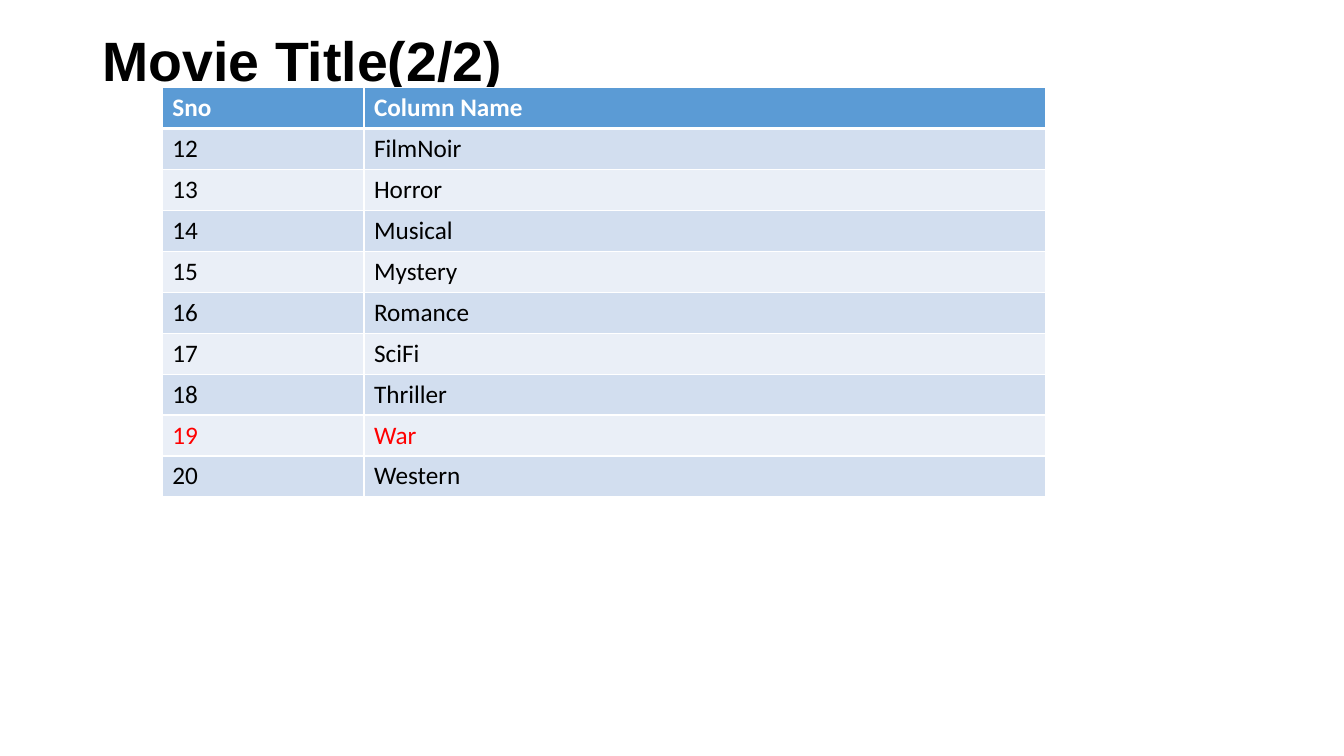
import pptx
import pptx.util
import pptx.dml.color
import pptx.enum.text
import pptx.oxml.ns
from dataclasses import dataclass
from lxml import etree

Inches = pptx.util.Inches
Pt = pptx.util.Pt


@dataclass(frozen=True)
class Theme:
    black: str = "000000"
    white: str = "FFFFFF"
    red: str = "FF0000"
    head: str = "5B9BD5"
    bands: tuple = ("D2DEEF", "EAEFF7")
    title_font: str = "Arial"
    body_font: str = "Calibri"
    title_size: float = 39.6
    body_size: float = 18


THEME = Theme()
GENRES = ["FilmNoir", "Horror", "Musical", "Mystery", "Romance",
          "SciFi", "Thriller", "War", "Western"]
FIRST = 12
MARKED = "War"


def rgb(code):
    return pptx.dml.color.RGBColor.from_string(code)


def add_run(para, text, font, size, color, bold=False):
    run = para.add_run()
    run.text = text
    run.font.name = font
    run.font.size = Pt(size)
    run.font.bold = bold
    run.font.color.rgb = rgb(color)


def add_edges(cell, widths):
    """Draw white cell borders, given a width in points for each side."""
    props = cell._tc.get_or_add_tcPr()
    for index, (side, width) in enumerate(widths.items()):
        line = etree.Element(pptx.oxml.ns.qn("a:ln" + side), w=str(Pt(width)))
        fill = etree.SubElement(line, pptx.oxml.ns.qn("a:solidFill"))
        etree.SubElement(fill, pptx.oxml.ns.qn("a:srgbClr"), val=THEME.white)
        props.insert(index, line)


def add_title(slide, text, left, top, width, height):
    box = slide.shapes.add_textbox(
        Inches(left), Inches(top), Inches(width), Inches(height))
    frame = box.text_frame
    frame.word_wrap = True
    frame.vertical_anchor = pptx.enum.text.MSO_ANCHOR.MIDDLE
    frame.margin_top = frame.margin_bottom = Inches(0.05)
    para = frame.paragraphs[0]
    para.line_spacing = 0.9
    add_run(para, text, THEME.title_font, THEME.title_size, THEME.black, True)


def add_grid(slide, rows, left, top, width, height, first_col):
    table = slide.shapes.add_table(
        len(rows), 2, Inches(left), Inches(top),
        Inches(width), Inches(height)).table
    table.columns[0].width = Inches(first_col)
    table.columns[1].width = Inches(width - first_col)

    for r, row in enumerate(rows):
        header = r == 0
        # Header, marked row and plain rows differ in colour
        if header:
            back, ink = THEME.head, THEME.white
        else:
            back = THEME.bands[(r - 1) % 2]
            ink = THEME.red if MARKED in row else THEME.black
        edges = {"L": 1, "R": 1, "T": 3 if r == 1 else 1, "B": 3 if header else 1}

        for c, text in enumerate(row):
            cell = table.cell(r, c)
            cell.fill.solid()
            cell.fill.fore_color.rgb = rgb(back)
            add_edges(cell, edges)
            add_run(cell.text_frame.paragraphs[0], text,
                    THEME.body_font, THEME.body_size, ink, header)


def main():
    deck = pptx.Presentation()
    deck.slide_width = Inches(13.33)
    deck.slide_height = Inches(7.5)
    slide = deck.slides.add_slide(deck.slide_layouts[6])

    # Title above the numbered list of columns
    add_title(slide, "Movie Title(2/2)", 0.92, 0.4, 11.5, 0.47)
    rows = [("Sno", "Column Name")]
    rows += [(str(n), name) for n, name in enumerate(GENRES, FIRST)]
    add_grid(slide, rows, 1.61, 0.87, 8.76, 4.06, 2)

    deck.save("out.pptx")


if __name__ == "__main__":
    main()
